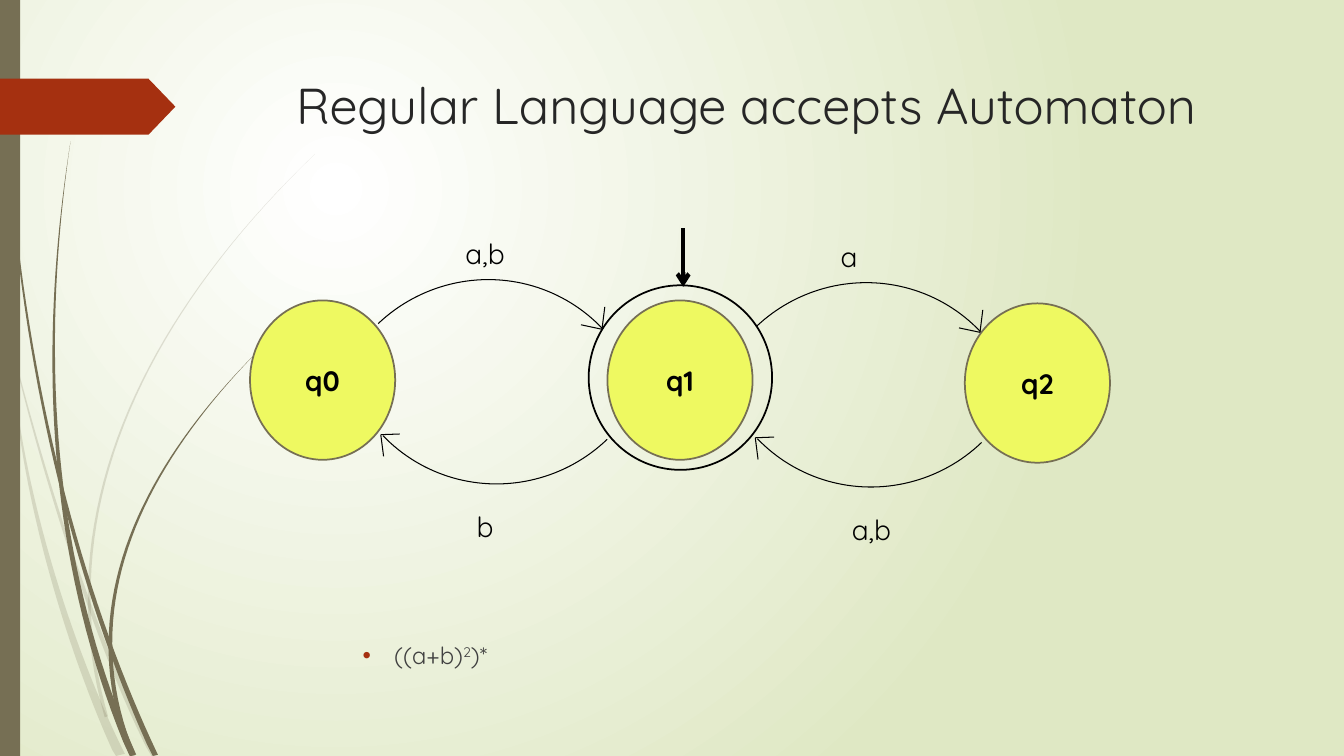
from dataclasses import dataclass
from math import hypot

from lxml.etree import SubElement
from pptx import Presentation
from pptx.dml.color import RGBColor
from pptx.enum.shapes import MSO_CONNECTOR, MSO_SHAPE as SHAPE
from pptx.enum.text import MSO_ANCHOR as ANCHOR, PP_ALIGN as ALIGN
from pptx.oxml.ns import qn
from pptx.util import Pt

FONT = "Quicksand"
WIDTH, HEIGHT = 960, 540
COLOURS = {
    "white": "FFFFFF", "sage": "DFE8C4", "grass": "766F54", "tag": "A53010",
    "state": "EEF961", "ink": "000000", "title": "262626", "body": "404040",
}


@dataclass
class Blade:
    """A grass blade: a Bézier centre line that widens from tip to root."""
    tip: tuple
    upper_pull: tuple
    lower_pull: tuple
    root: tuple
    root_width: float
    opacity: int = 100


BLADES = [
    Blade((0, 209), (15, 285), (62, 450), (110, HEIGHT), 4, opacity=20),
    Blade((8, 252), (14, 350), (50, 465), (86, HEIGHT), 7, opacity=20),
    Blade((225, 110), (100, 230), (35, 370), (76, 512), 2.5, opacity=20),
    Blade((2.5, 0), (2, 220), (50, 410), (111, HEIGHT), 4),
    Blade((50.4, 101), (30, 235), (30, 390), (95, HEIGHT), 5),
    Blade((187, 248), (105, 330), (50, 430), (95, HEIGHT), 3.5),
]

STATE_SIZE = (103.7, 113.8)
STATE_LEFT, STATE_STEP = 178.6, 255.3
STATE_TOPS = {"q0": 214.6, "q1": 214.6, "q2": 216.7}
RING_SIZE = (131, 131.8)
ARC_SIZE = (227.5, 225.4)
LABEL_SIZE = (60, 31.5)
LABEL_STEP = 268
PAIR_DROP = 2.2


@dataclass
class Direction:
    """One direction of travel; its first arc repeats once, a step further on."""
    labels: tuple
    label_place: tuple
    arc_place: tuple
    rotation: float
    tip: tuple
    barbs: tuple
    step: float


DIRECTIONS = [
    Direction(("a,b", "a"), (325.4, 165.2), (234, 200.2), 316.5,
              (430, 235.2), ((-15, -3.2), (2, -16)), 270),
    Direction(("b", "a,b"), (333.4, 360.5), (241.9, 119.8), 136.2,
              (272, 310.5), ((13.5, -0.5), (2, 15.5)), 267.5),
]


def rgb(name):
    return RGBColor.from_string(COLOURS[name])


def shifted(place, right, down):
    return place[0] + right, place[1] + down


def paint(shape, fill=None, line=None, width=1.25):
    shape.shadow.inherit = False
    if fill:
        shape.fill.solid()
        shape.fill.fore_color.rgb = rgb(fill)
    else:
        shape.fill.background()
    if line:
        shape.line.color.rgb = rgb(line)
        shape.line.width = Pt(width)
    else:
        shape.line.fill.background()


def add_preset(slide, kind, place, size, **look):
    shape = slide.shapes.add_shape(kind, *map(Pt, (*place, *size)))
    paint(shape, **look)
    return shape


def add_run(paragraph, text, size, colour, bold=False):
    run = paragraph.add_run()
    run.text = text
    run.font.color.rgb = rgb(colour)
    for name, value in {"name": FONT, "size": Pt(size), "bold": bold}.items():
        setattr(run.font, name, value)
    return run


def add_text_box(slide, place, size):
    """Add a wrapping text box and return its first paragraph."""
    frame = slide.shapes.add_textbox(*map(Pt, (*place, *size))).text_frame
    frame.word_wrap = True
    return frame.paragraphs[0]


def add_line(slide, start, end, width=0.75, arrow=False):
    line = slide.shapes.add_connector(MSO_CONNECTOR.STRAIGHT, *map(Pt, (*start, *end)))
    line.line.color.rgb = rgb("ink")
    line.line.width = Pt(width)
    if arrow:
        SubElement(line.line._get_or_add_ln(), qn("a:tailEnd"), type="arrow")
    SubElement(line._element.spPr, qn("a:effectLst"))


def blade_outline(blade, steps=40):
    """Offset the centre line to both sides, by half the width at each point."""
    left_edge, right_edge = [], []
    axes = list(zip(blade.tip, blade.upper_pull, blade.lower_pull, blade.root))
    for step in range(steps + 1):
        t = step / steps
        u = 1 - t
        x, y = (a * u**3 + 3 * b * u * u * t + 3 * c * u * t * t + d * t**3
                for a, b, c, d in axes)
        dx, dy = ((b - a) * u * u + 2 * (c - b) * u * t + (d - c) * t * t
                  for a, b, c, d in axes)
        reach = blade.root_width * t / 2 / hypot(dx, dy)
        left_edge.append((x - dy * reach, y + dx * reach))
        right_edge.append((x + dy * reach, y - dx * reach))
    return [(Pt(x), Pt(min(y, HEIGHT))) for x, y in left_edge + right_edge[::-1]]


def add_blade(slide, blade):
    start, *rest = blade_outline(blade)
    builder = slide.shapes.build_freeform(*start)
    builder.add_line_segments(rest, close=True)
    shape = builder.convert_to_shape()
    paint(shape, fill="grass")
    if blade.opacity < 100:
        colour = shape._element.spPr.find(qn("a:solidFill"))[0]
        SubElement(colour, qn("a:alpha"), val=str(blade.opacity * 1000))


def add_background(slide):
    fill = slide.background.fill
    fill.gradient()
    for stop, name, position in zip(fill.gradient_stops, ("white", "sage"), (0, 1)):
        stop.color.rgb = rgb(name)
        stop.position = position
    gradient = next(slide._element.iter(qn("a:gradFill")))
    gradient.remove(gradient.find(qn("a:lin")))
    circle = SubElement(gradient, qn("a:path"), path="circle")
    SubElement(circle, qn("a:fillToRect"), l="50000", t="50000", r="100000", b="100000")


def add_decoration(slide):
    for blade in BLADES:
        add_blade(slide, blade)
    add_preset(slide, SHAPE.RECTANGLE, (0, 0), (14.4, HEIGHT), fill="grass")
    tag = add_preset(slide, SHAPE.PENTAGON, (0, 56.2), (125.3, 40), fill="tag")
    tag.adjustments[0] = 0.48


def add_state(slide, name, place):
    state = add_preset(slide, SHAPE.OVAL, place, STATE_SIZE, fill="state", line="grass")
    state.text_frame.vertical_anchor = ANCHOR.MIDDLE
    paragraph = state.text_frame.paragraphs[0]
    paragraph.alignment = ALIGN.CENTER
    add_run(paragraph, name, 20, "ink", bold=True)


def add_transitions(slide, direction):
    for pair, label in enumerate(direction.labels):
        move = (pair * direction.step, pair * PAIR_DROP)
        arc = add_preset(slide, SHAPE.ARC, shifted(direction.arc_place, *move),
                         ARC_SIZE, line="ink", width=0.75)
        arc.rotation = direction.rotation
        tip = shifted(direction.tip, *move)
        for barb in direction.barbs:
            add_line(slide, shifted(tip, *barb), tip)
        label_place = shifted(direction.label_place, pair * LABEL_STEP, pair * PAIR_DROP)
        add_run(add_text_box(slide, label_place, LABEL_SIZE), label, 20, "ink")


def add_automaton(slide):
    for index, (name, top) in enumerate(STATE_TOPS.items()):
        add_state(slide, name, (STATE_LEFT + index * STATE_STEP, top))
    for direction in DIRECTIONS:
        add_transitions(slide, direction)
    add_preset(slide, SHAPE.OVAL, (420.5, 203.8), RING_SIZE, line="ink")
    add_line(slide, (488, 163), (488, 205), width=3, arrow=True)


def add_expression(slide):
    paragraph = add_text_box(slide, (216, 454), (702, 32))
    properties = paragraph._p.get_or_add_pPr()
    properties.set("marL", str(Pt(58.5)))
    properties.set("indent", str(Pt(-22.5)))
    bullet_colour = SubElement(properties, qn("a:buClr"))
    SubElement(bullet_colour, qn("a:srgbClr"), val=COLOURS["tag"])
    SubElement(properties, qn("a:buFont"), typeface="Arial")
    SubElement(properties, qn("a:buChar"), char="•")
    for text, raised in (("((a+b)", False), ("2", True), (")*", False)):
        run = add_run(paragraph, text, 17, "body")
        if raised:
            run.font._element.set("baseline", "30000")


def main():
    presentation = Presentation()
    presentation.slide_width, presentation.slide_height = Pt(WIDTH), Pt(HEIGHT)
    slide = presentation.slides.add_slide(presentation.slide_layouts[6])
    add_background(slide)
    add_decoration(slide)
    title = add_text_box(slide, (204.5, 49.3), (711.4, 100.8))
    add_run(title, "Regular Language accepts Automaton", 36, "title")
    add_expression(slide)
    add_automaton(slide)
    presentation.save("out.pptx")


if __name__ == "__main__":
    main()
